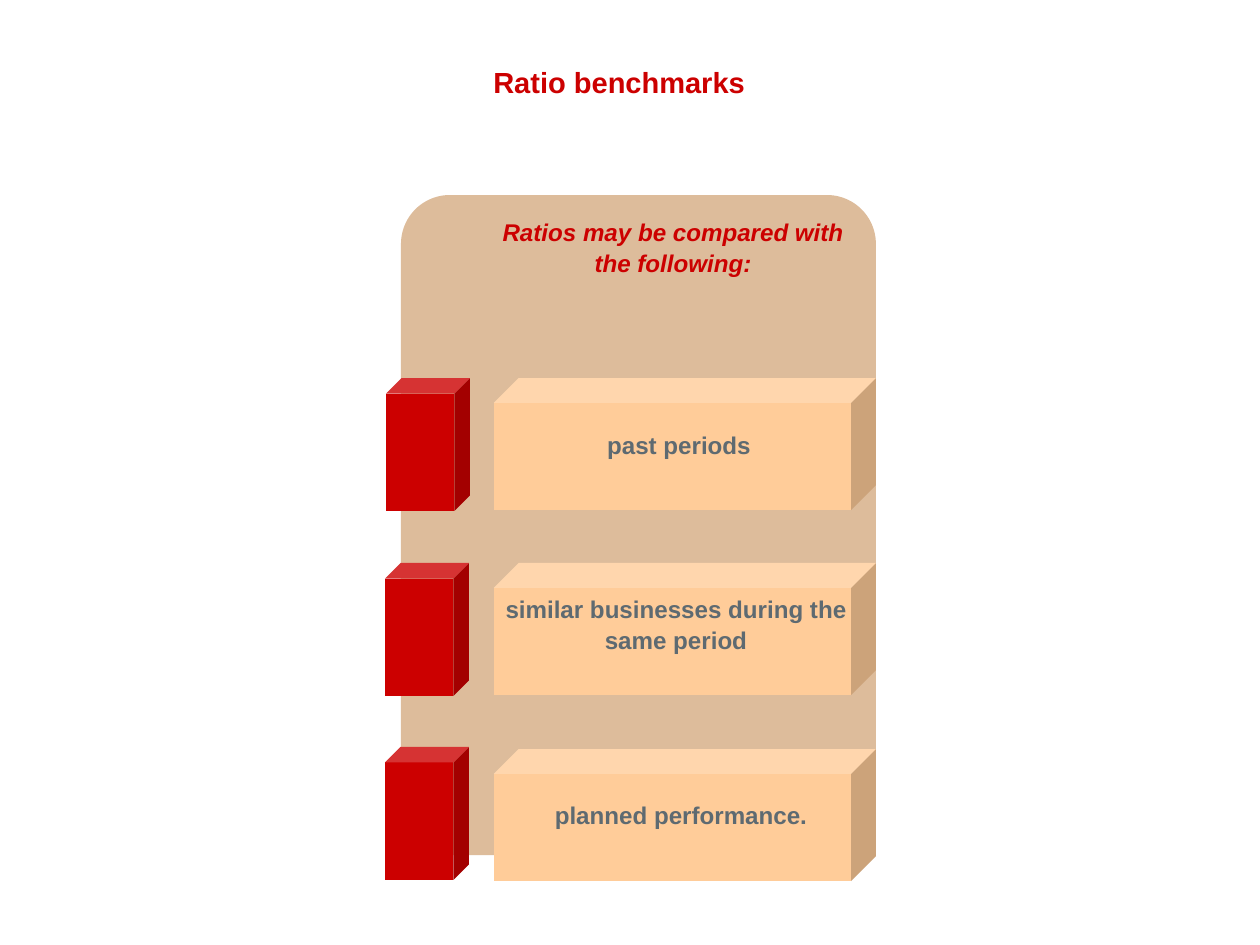
from dataclasses import dataclass

import pptx
import pptx.dml.color
import pptx.enum.shapes
import pptx.enum.text
import pptx.shapes.autoshape
import pptx.util

RGBColor = pptx.dml.color.RGBColor
Shape = pptx.shapes.autoshape.Shape
ShapeType = pptx.enum.shapes.MSO_SHAPE

EMU_PER_PX = 914400 // 126
RED = RGBColor(0xCC, 0x00, 0x00)
TAN = RGBColor(0xDD, 0xBC, 0x9B)
PEACH = RGBColor(0xFF, 0xCC, 0x99)
GRAY = RGBColor(0x5E, 0x6A, 0x71)


@dataclass(frozen=True)
class Box:
    left: int
    top: int
    width: int
    height: int


@dataclass(frozen=True)
class Benchmark:
    text: str
    label: Box
    marker_left: int
    marker_top: int
    bar_top: int


BENCHMARKS = [
    Benchmark("past periods", Box(495, 423, 368, 48), 386, 378, 378),
    Benchmark("similar businesses during the same period", Box(492, 587, 368, 82), 385, 563, 563),
    Benchmark("planned performance.", Box(497, 793, 368, 48), 385, 747, 749),
]


def px(length: int) -> pptx.util.Emu:
    return pptx.util.Emu(length * EMU_PER_PX)


def place(shape: Shape, box: Box) -> None:
    shape.left, shape.top = px(box.left), px(box.top)
    shape.width, shape.height = px(box.width), px(box.height)


def add_solid(slide: pptx.slide.Slide, kind: ShapeType, box: Box,
              color: RGBColor, adjustment: float) -> None:
    shape = slide.shapes.add_shape(kind, 0, 0, 0, 0)
    place(shape, box)
    shape.adjustments[0] = adjustment
    shape.shadow.inherit = False
    shape.fill.solid()
    shape.fill.fore_color.rgb = color
    shape.line.fill.background()


def write(shape: Shape, text: str, box: Box, size: float, color: RGBColor,
          italic: bool = False) -> None:
    place(shape, box)
    frame = shape.text_frame
    frame.text = text
    frame.word_wrap = True
    frame.auto_size = pptx.enum.text.MSO_AUTO_SIZE.NONE
    frame.vertical_anchor = pptx.enum.text.MSO_ANCHOR.TOP
    paragraph = frame.paragraphs[0]
    paragraph.alignment = pptx.enum.text.PP_ALIGN.CENTER
    paragraph.line_spacing = 1.05
    paragraph.space_before = pptx.util.Pt(0)
    font = paragraph.font
    font.name, font.size = "Arial", pptx.util.Pt(size)
    font.bold, font.italic = True, italic
    font.color.rgb = color


def add_label(slide: pptx.slide.Slide, text: str, box: Box, color: RGBColor,
              italic: bool = False) -> None:
    write(slide.shapes.add_textbox(0, 0, 0, 0), text, box, 13.8, color, italic)


def add_benchmark(slide: pptx.slide.Slide, item: Benchmark) -> None:
    add_solid(slide, ShapeType.CUBE, Box(494, item.bar_top, 382, 132), PEACH, 0.188)
    add_solid(slide, ShapeType.CUBE, Box(item.marker_left, item.marker_top, 84, 133), RED, 0.185)
    add_label(slide, item.text, item.label, GRAY)


def main() -> None:
    presentation = pptx.Presentation()
    presentation.slide_width = pptx.util.Inches(10)
    presentation.slide_height = pptx.util.Inches(7.5)
    slide = presentation.slides.add_slide(presentation.slide_layouts[5])
    write(slide.shapes.title, "Ratio benchmarks", Box(365, 56, 508, 48), 16.6, RED)
    add_solid(slide, ShapeType.ROUNDED_RECTANGLE, Box(401, 195, 475, 660), TAN, 0.103)
    for item in BENCHMARKS:
        add_benchmark(slide, item)
    add_label(slide, "Ratios may be compared with the following:",
              Box(480, 210, 386, 82), RED, italic=True)
    presentation.save("out.pptx")


if __name__ == "__main__":
    main()
